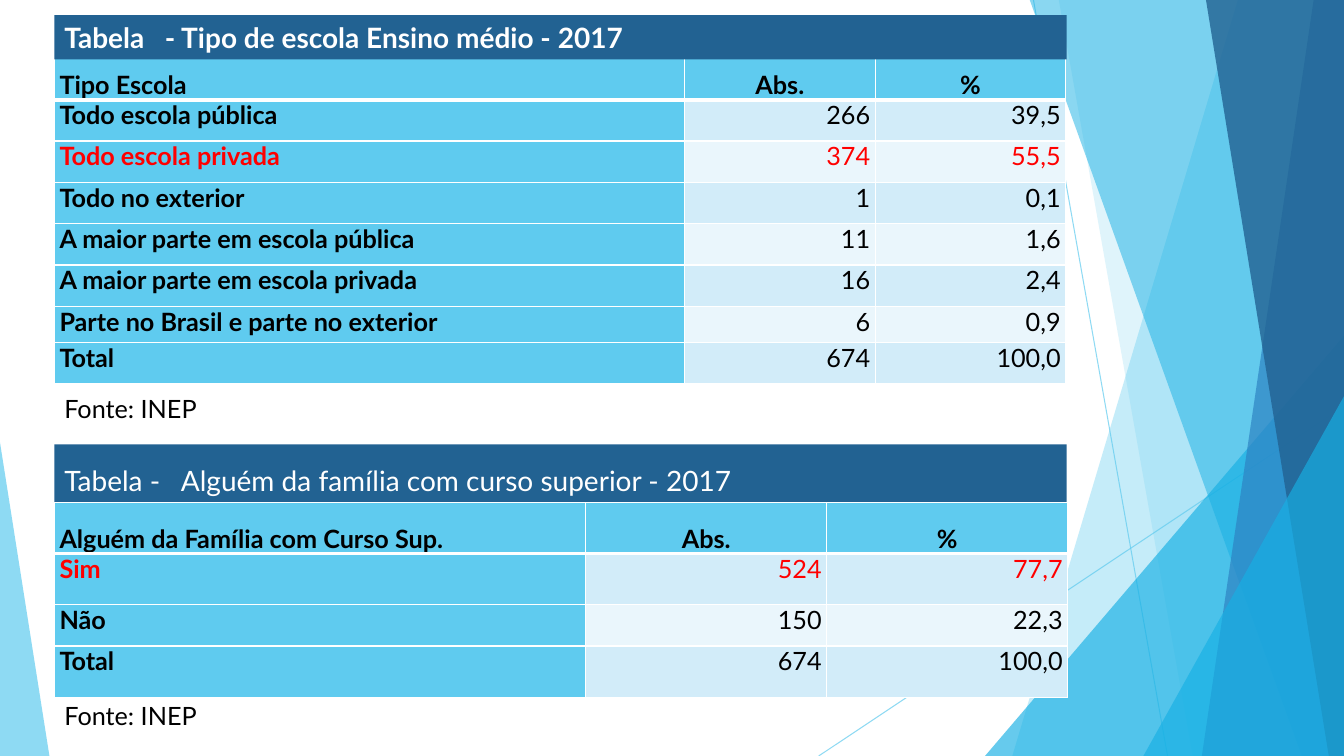
"""Builds a slide with two school tables over a faceted background."""
from lxml.etree import SubElement
from pptx import Presentation
from pptx.dml.color import RGBColor
from pptx.enum.shapes import MSO_CONNECTOR, MSO_SHAPE
from pptx.enum.text import MSO_ANCHOR, PP_ALIGN
from pptx.oxml.ns import qn
from pptx.util import Inches, Pt

COLORS = {
    "sky": "5FCBEF", "cyan": "17B0E4", "blue": "2E83C3", "navy": "226292",
    "pale": "D2ECF9", "paler": "EAF6FC",
    "white": "FFFFFF", "black": "000000", "red": "FF0000",
}


def paint(s, fill, color, alpha=100):
    """Give a shape's fill or line a colour and an opacity in percent."""
    fill.solid()
    fill.fore_color.rgb = RGBColor.from_string(COLORS[color])
    if alpha < 100:
        clr = s._element.spPr.find(".//" + qn("a:srgbClr"))
        SubElement(clr, qn("a:alpha"), val=str(alpha * 1000))


def write(tf, text, size, color, bold=False, align=PP_ALIGN.LEFT):
    """Put one formatted paragraph into a text frame."""
    tf.text = text
    p = tf.paragraphs[0]
    p.alignment = align
    font = p.runs[0].font
    font.name, font.size, font.bold = "Lato", Pt(size), bold
    font.color.rgb = RGBColor.from_string(COLORS[color])


prs = Presentation()
prs.slide_width, prs.slide_height = Inches(13.33), Inches(7.5)
slide = prs.slides.add_slide(prs.slide_layouts[6])
shapes = slide.shapes

for x1, y1, x2, y2 in [(10.25, 0, 11.58, 7.5), (13.33, 4.03, 8.12, 7.5)]:
    s = shapes.add_connector(MSO_CONNECTOR.STRAIGHT, Inches(x1), Inches(y1), Inches(x2), Inches(y2))
    s.line.width = Pt(0.75)
    paint(s, s.line.fill, "sky", 70)
    SubElement(s._element.spPr, qn("a:effectLst"))

# Bands give top and bottom x of the left edge; triangles give box and apex.
facets = [
    ((12.28, 10.04), "sky", 36),
    ((10.5, 11.83), "sky", 20),
    ((9.77, 3.33, 3.56, 4.17, 1), "cyan", 66),
    ((10.21, 12.91), "cyan", 50),
    ((13.03, 11.92), "blue", 70),
    ((11.96, 13.18), "navy", 80),
    ((11.34, 3.93, 1.99, 3.57, 1), "cyan", 66),
    ((0, 4.39, 0.49, 3.11, 0), "sky", 70),
]
for geometry, color, alpha in facets:
    if len(geometry) == 2:
        top_x, bottom_x = geometry
        builder = shapes.build_freeform(Inches(top_x), Inches(-0.01))
        corners = [(13.33, -0.01), (13.33, 7.5), (bottom_x, 7.5)]
        builder.add_line_segments([(Inches(x), Inches(y)) for x, y in corners], close=True)
        s = builder.convert_to_shape()
    else:
        *box, apex = geometry
        s = shapes.add_shape(MSO_SHAPE.ISOSCELES_TRIANGLE, *map(Inches, box))
        s.adjustments[0] = apex
    s.shadow.inherit = False
    s.line.fill.background()
    paint(s, s.fill, color, alpha)

tables = [
    (0.58, [6.25, 1.89, 1.89], [0.41] * 6 + [0.36, 0.41], [
        ("Tipo Escola", "Abs.", "%"),
        ("Todo escola pública", "266", "39,5"),
        ("Todo escola privada", "374", "55,5"),
        ("Todo no exterior", "1", "0,1"),
        ("A maior parte em escola pública", "11", "1,6"),
        ("A maior parte em escola privada", "16", "2,4"),
        ("Parte no Brasil e parte no exterior", "6", "0,9"),
        ("Total", "674", "100,0"),
    ]),
    (4.98, [5.27, 2.39, 2.39], [0.51, 0.51, 0.41, 0.51], [
        ("Alguém da Família com Curso Sup.", "Abs.", "%"),
        ("Sim", "524", "77,7"),
        ("Não", "150", "22,3"),
        ("Total", "674", "100,0"),
    ]),
]
for top, widths, heights, rows in tables:
    table = shapes.add_table(len(rows), 3, Inches(0.54), Inches(top),
                             Inches(sum(widths)), Inches(sum(heights))).table
    for column, width in zip(table.columns, widths):
        column.width = Inches(width)
    for i, row in enumerate(rows):
        table.rows[i].height = Inches(heights[i])
        for j, text in enumerate(row):
            cell = table.cell(i, j)
            cell.margin_left = cell.margin_right = Inches(0.05)
            cell.margin_top = cell.margin_bottom = 0
            cell.vertical_anchor = MSO_ANCHOR.TOP if i else MSO_ANCHOR.BOTTOM
            align = PP_ALIGN.LEFT
            if j:
                align = PP_ALIGN.RIGHT if i else PP_ALIGN.CENTER
            color = "red" if row[0] in ("Todo escola privada", "Sim") else "black"
            write(cell.text_frame, text, 18, color, i == 0 or j == 0, align)
            tcPr = cell._tc.get_or_add_tcPr()
            for side in ("lnL", "lnR", "lnT", "lnB"):
                thick = (i, side) in ((0, "lnB"), (1, "lnT"))
                ln = SubElement(tcPr, qn("a:" + side), w=str(Pt(3 if thick else 1)))
                SubElement(SubElement(ln, qn("a:solidFill")), qn("a:srgbClr"), val=COLORS["white"])
            band = "pale" if i % 2 else "paler"
            paint(cell, cell.fill, "sky" if i == 0 or j == 0 else band)

titles = [
    (0.15, 0.44, "Tabela   - Tipo de escola Ensino médio - 2017", True),
    (4.41, 0.57, "Tabela -   Alguém da família com curso superior - 2017", False),
]
for top, height, text, bold in titles:
    s = shapes.add_shape(MSO_SHAPE.RECTANGLE, Inches(0.54), Inches(top), Inches(10.04), Inches(height))
    s.shadow.inherit = False
    s.line.fill.background()
    paint(s, s.fill, "navy")
    s.text_frame.word_wrap = True
    s.text_frame.vertical_anchor = MSO_ANCHOR.BOTTOM
    write(s.text_frame, text, 20, "white", bold)

for top, width in [(3.85, 3.03), (6.9, 3.82)]:
    s = shapes.add_textbox(Inches(0.54), Inches(top), Inches(width), Inches(0.4))
    s.text_frame.word_wrap = True
    write(s.text_frame, "Fonte: INEP", 18, "black")

prs.save("out.pptx")
